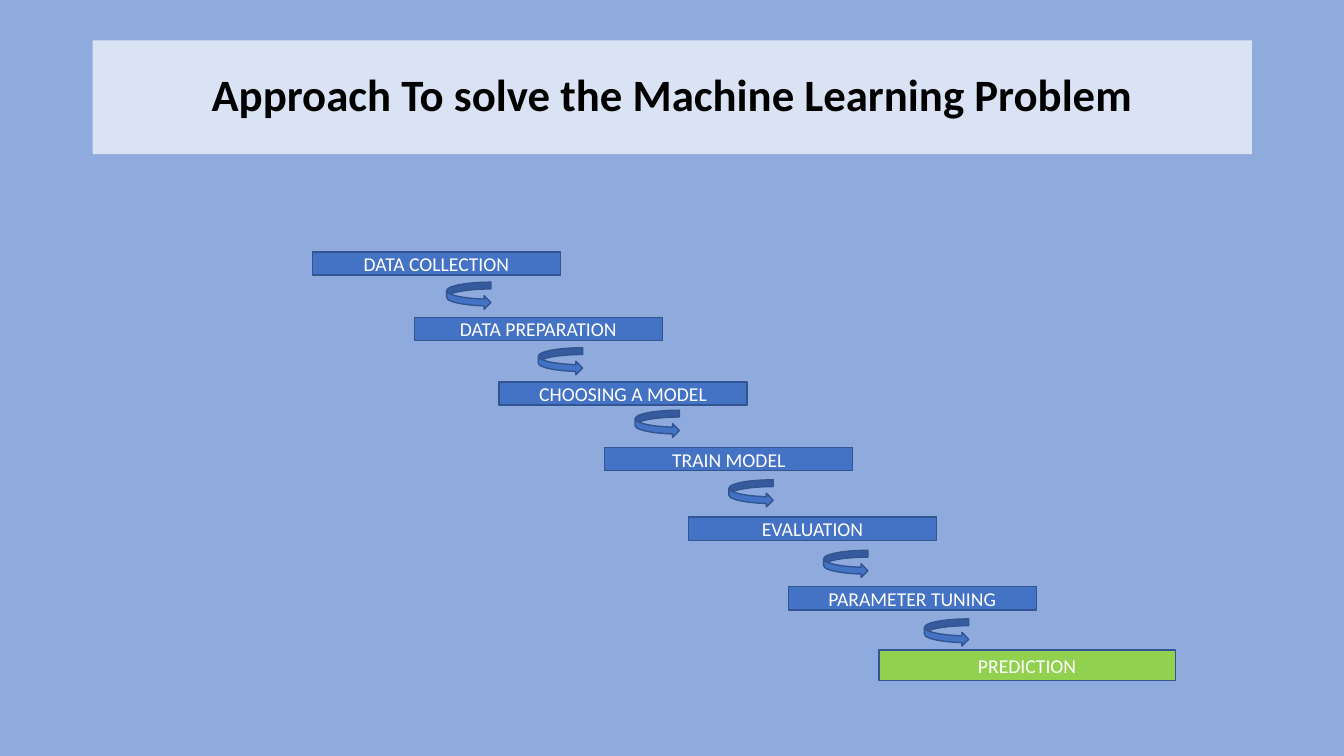
from dataclasses import dataclass

from pptx import Presentation
from pptx.dml.color import RGBColor
from pptx.enum.shapes import MSO_SHAPE
from pptx.enum.text import MSO_ANCHOR, PP_ALIGN
from pptx.shapes.autoshape import Shape
from pptx.slide import Slide
from pptx.util import Inches, Pt

RECTANGLE = MSO_SHAPE.RECTANGLE
CURVED_ARROW = MSO_SHAPE.CURVED_RIGHT_ARROW
MIDDLE = MSO_ANCHOR.MIDDLE
CENTER = PP_ALIGN.CENTER

BACKGROUND = RGBColor(0x8F, 0xAA, 0xDC)
TITLE_FILL = RGBColor(0xDA, 0xE3, 0xF3)
BLUE = RGBColor(0x44, 0x72, 0xC4)
DARK_BLUE = RGBColor(0x32, 0x54, 0x91)
GREEN = RGBColor(0x92, 0xD0, 0x50)
BLACK = RGBColor(0x00, 0x00, 0x00)
WHITE = RGBColor(0xFF, 0xFF, 0xFF)

SLIDE_WIDTH = Inches(13.33)
SLIDE_HEIGHT = Inches(7.5)
FONT_NAME = "Calibri"


@dataclass(frozen=True)
class Area:
    """A rectangle in percent of the slide's width and height."""

    left: float
    top: float
    width: float
    height: float


@dataclass(frozen=True)
class Step:
    text: str
    area: Area
    fill: RGBColor = BLUE


def stage(text: str, left: float, top: float) -> Step:
    """Return a step of the common size."""
    return Step(text, Area(left, top, 18.45, 3.07))


TITLE_AREA = Area(6.9, 5.33, 86.25, 15.07)
STEPS = (
    stage("DATA COLLECTION", 23.25, 33.33),
    stage("DATA PREPARATION", 30.83, 42),
    stage("CHOOSING A MODEL", 37.13, 50.53),
    stage("TRAIN MODEL", 45, 59.2),
    stage("EVALUATION", 51.23, 68.4),
    stage("PARAMETER TUNING", 58.65, 77.6),
    Step("PREDICTION", Area(65.4, 86, 22.05, 4), GREEN),
)
ARROW_CORNERS = (
    (33.23, 37.33),
    (40.05, 46),
    (47.25, 54.27),
    (54.23, 63.47),
    (61.28, 72.8),
    (68.78, 81.87),
)


def add_filled_shape(slide: Slide, kind: MSO_SHAPE, area: Area,
                     fill: RGBColor, outlined: bool = True) -> Shape:
    shape = slide.shapes.add_shape(
        kind,
        round(SLIDE_WIDTH * area.left / 100),
        round(SLIDE_HEIGHT * area.top / 100),
        round(SLIDE_WIDTH * area.width / 100),
        round(SLIDE_HEIGHT * area.height / 100),
    )
    shape.shadow.inherit = False
    shape.fill.solid()
    shape.fill.fore_color.rgb = fill
    if outlined:
        shape.line.color.rgb = DARK_BLUE
        shape.line.width = Pt(1)
    else:
        shape.line.fill.background()
    return shape


def write_text(shape: Shape, text: str, *, size: float, color: RGBColor,
               bold: bool = False, line_spacing: float = 1.0) -> None:
    frame = shape.text_frame
    frame.word_wrap = True
    frame.vertical_anchor = MIDDLE
    paragraph = frame.paragraphs[0]
    paragraph.alignment = CENTER
    paragraph.line_spacing = line_spacing
    run = paragraph.add_run()
    run.text = text
    run.font.name = FONT_NAME
    run.font.size = Pt(size)
    run.font.bold = bold
    run.font.color.rgb = color


def main() -> None:
    presentation = Presentation()
    presentation.slide_width = SLIDE_WIDTH
    presentation.slide_height = SLIDE_HEIGHT
    slide = presentation.slides.add_slide(presentation.slide_layouts[6])
    slide.background.fill.solid()
    slide.background.fill.fore_color.rgb = BACKGROUND

    title = add_filled_shape(slide, RECTANGLE, TITLE_AREA, TITLE_FILL, outlined=False)
    write_text(title, "Approach To solve the Machine Learning Problem",
               size=32, color=BLACK, bold=True, line_spacing=0.9)

    for step in STEPS:
        box = add_filled_shape(slide, RECTANGLE, step.area, step.fill)
        write_text(box, step.text, size=14, color=WHITE)

    for left, top in ARROW_CORNERS:
        add_filled_shape(slide, CURVED_ARROW, Area(left, top, 3.3, 3.6), BLUE)

    presentation.save("out.pptx")


if __name__ == "__main__":
    main()
